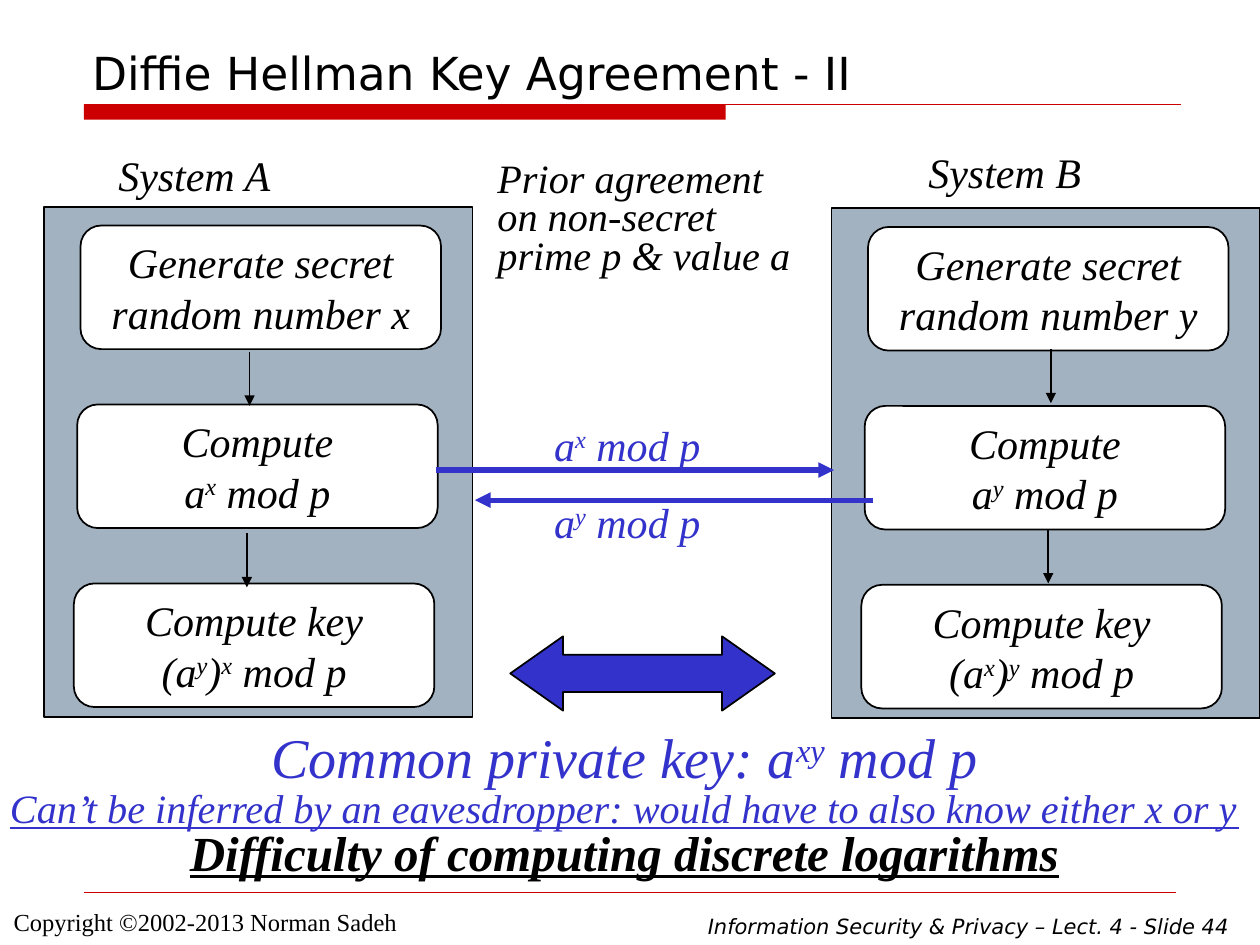
from lxml import etree
from pptx import Presentation
from pptx.dml.color import RGBColor
from pptx.enum.shapes import MSO_CONNECTOR, MSO_SHAPE
from pptx.enum.text import MSO_ANCHOR, MSO_AUTO_SIZE, PP_ALIGN
from pptx.oxml.ns import qn
from pptx.util import Pt

RECT, ROUNDED = MSO_SHAPE.RECTANGLE, MSO_SHAPE.ROUNDED_RECTANGLE
DOUBLE_ARROW, STRAIGHT = MSO_SHAPE.LEFT_RIGHT_ARROW, MSO_CONNECTOR.STRAIGHT
LEFT, CENTER = PP_ALIGN.LEFT, PP_ALIGN.CENTER
TOP, MIDDLE, BOTTOM = MSO_ANCHOR.TOP, MSO_ANCHOR.MIDDLE, MSO_ANCHOR.BOTTOM
FIXED = MSO_AUTO_SIZE.NONE

COLORS = {"black": "000000", "white": "FFFFFF", "red": "CC0000",
          "blue": "3333CC", "panel": "A3B2C1"}
SANS, SERIF = "DejaVu Sans", "Times New Roman"
BODY = {"name": SERIF, "size": Pt(24), "italic": True}

# In all texts, every second part between bars is a superscript.
TITLE = "Diffie Hellman Key Agreement - II"
SYSTEMS = [
    {"name": "System A", "name_at": (60.5, 82.1), "offset": (0, 0),
     "steps": [["Generate secret", "random number x"],
               ["Compute", "a|x| mod p"],
               ["Compute key", "(a|y|)|x| mod p"]],
     "arrows": [(142.6, 200.9), (141.1, 304.6)]},
    {"name": "System B", "name_at": (523.4, 79.9), "offset": (450, 0.8),
     "steps": [["Generate secret", "random number y"],
               ["Compute", "a|y| mod p"],
               ["Compute key", "(a|x|)|y| mod p"]],
     "arrows": [(600.5, 199.4), (599, 302.4)]},
]
AGREEMENT = ["Prior agreement", "on non-secret", "prime p & value a"]
MESSAGES = [  # text, top of text, arrow start and end
    ("a|x| mod p", 236.2, (249.1, 268.6), (476.6, 268.6)),
    ("a|y| mod p", 280.1, (499, 285.8), (271.4, 285.8)),
]
CONCLUSION = [
    ("Common private key: a|xy| mod p", "blue", {"size": Pt(32)}),
    ("Can’t be inferred by an eavesdropper: would have to also know either x or y",
     "blue", {"size": Pt(23), "underline": True}),
    ("Difficulty of computing discrete logarithms", "black",
     {"size": Pt(28), "underline": True, "bold": True}),
]
COPYRIGHT = "Copyright ©2002-2013 Norman Sadeh"
FOOTER = "Information Security & Privacy – Lect. 4 - Slide 44"

PANEL = (25.2, 118.1, 244.8, 291.6)
STEP = (46, 128.9, 206, 70.6)
STEP_SHIFT, STEP_PITCH = -1.9, 102.25
ARROW_LENGTH = 31


def rgb(name):
    return RGBColor.from_string(COLORS[name])


def write(shape, lines, align=LEFT, anchor=TOP, wrap=False, spacing=1.0):
    """Fill a shape with lines given as (text, color name, font values)."""
    frame = shape.text_frame
    frame.auto_size, frame.word_wrap, frame.vertical_anchor = FIXED, wrap, anchor
    for index, (text, color, values) in enumerate(lines):
        para = frame.paragraphs[0] if index == 0 else frame.add_paragraph()
        para.alignment, para.line_spacing = align, spacing
        for part, piece in enumerate(text.split("|")):
            span = para.add_run()
            span.text = piece
            for key, value in values.items():
                setattr(span.font, key, value)
            span.font.color.rgb = rgb(color)
            if part % 2:
                span._r.get_or_add_rPr().set("baseline", "30000")


def add_text(page, area, lines, **layout):
    write(page.shapes.add_textbox(*map(Pt, area)), lines, **layout)


def add_block(page, kind, area, fill, line="black", adjustments=()):
    shape = page.shapes.add_shape(kind, *map(Pt, area))
    shape.shadow.inherit = False
    shape.fill.solid()
    shape.fill.fore_color.rgb = rgb(fill)
    if line:
        shape.line.color.rgb = rgb(line)
        shape.line.width = Pt(1)
    else:
        shape.line.fill.background()
    for index, value in enumerate(adjustments):
        shape.adjustments[index] = value
    return shape


def add_line(page, start, end, color, width, arrow=True):
    line = page.shapes.add_connector(STRAIGHT, *map(Pt, start + end))
    line.line.color.rgb = rgb(color)
    line.line.width = Pt(width)
    if arrow:
        etree.SubElement(line.line._get_or_add_ln(), qn("a:tailEnd"), type="triangle")
    etree.SubElement(line._element.spPr, qn("a:effectLst"))


def add_frame(page):
    """Title, its red rule, and the footer."""
    add_block(page, RECT, (48, 59.8, 366.7, 8.6), "red", line=None)
    add_line(page, (48, 59.8), (674.6, 59.8), "red", 0.75, arrow=False)
    add_line(page, (48, 509.8), (671.8, 509.8), "red", 0.25, arrow=False)
    add_text(page, (0.7, 514.8, 233.3, 24.5),
             [(COPYRIGHT, "black", {"name": SERIF, "size": Pt(14)})])
    add_text(page, (397.4, 518.4, 316.1, 23.8),
             [(FOOTER, "black", {"name": SANS, "size": Pt(12), "italic": True})])
    title = page.shapes.title
    title.left, title.top, title.width, title.height = map(Pt, (45.4, 12.2, 630, 48.2))
    write(title, [(TITLE, "black", {"name": SANS, "size": Pt(26)})],
          anchor=BOTTOM, wrap=True)


def add_system(page, system):
    dx, dy = system["offset"]
    left, top, width, height = PANEL
    add_block(page, RECT, (left + dx, top + dy, width, height), "panel")
    add_text(page, system["name_at"] + (101.5, 36), [(system["name"], "black", BODY)])
    left, top, width, height = STEP
    for row, texts in enumerate(system["steps"]):
        area = (left + dx + row * STEP_SHIFT, top + dy + row * STEP_PITCH, width, height)
        step = add_block(page, ROUNDED, area, "white", adjustments=[0.167])
        write(step, [(text, "black", BODY) for text in texts],
              align=CENTER, anchor=MIDDLE)
    for x, y in system["arrows"]:
        add_line(page, (x, y), (x, y + ARROW_LENGTH), "black", 1)


def main():
    deck = Presentation()
    deck.slide_width, deck.slide_height = Pt(720), Pt(540)
    page = deck.slides.add_slide(deck.slide_layouts[5])
    add_frame(page)
    for system in SYSTEMS:
        add_system(page, system)
    add_text(page, (277.2, 89.3, 182.2, 73.4),
             [(text, "black", BODY | {"size": Pt(23)}) for text in AGREEMENT],
             spacing=0.8)
    for text, top, start, end in MESSAGES:
        add_line(page, start, end, "blue", 3)
        add_text(page, (309.6, top, 98.6, 64.8), [(text, "blue", BODY)], wrap=True)
    add_block(page, DOUBLE_ARROW, (291.6, 363.6, 151.2, 42.5), "blue",
              adjustments=[0.5, 0.71])
    add_text(page, (-92.9, 415.4, 899.3, 121),
             [(text, color, BODY | values) for text, color, values in CONCLUSION],
             align=CENTER, wrap=True, spacing=0.85)
    deck.save("out.pptx")


if __name__ == "__main__":
    main()
